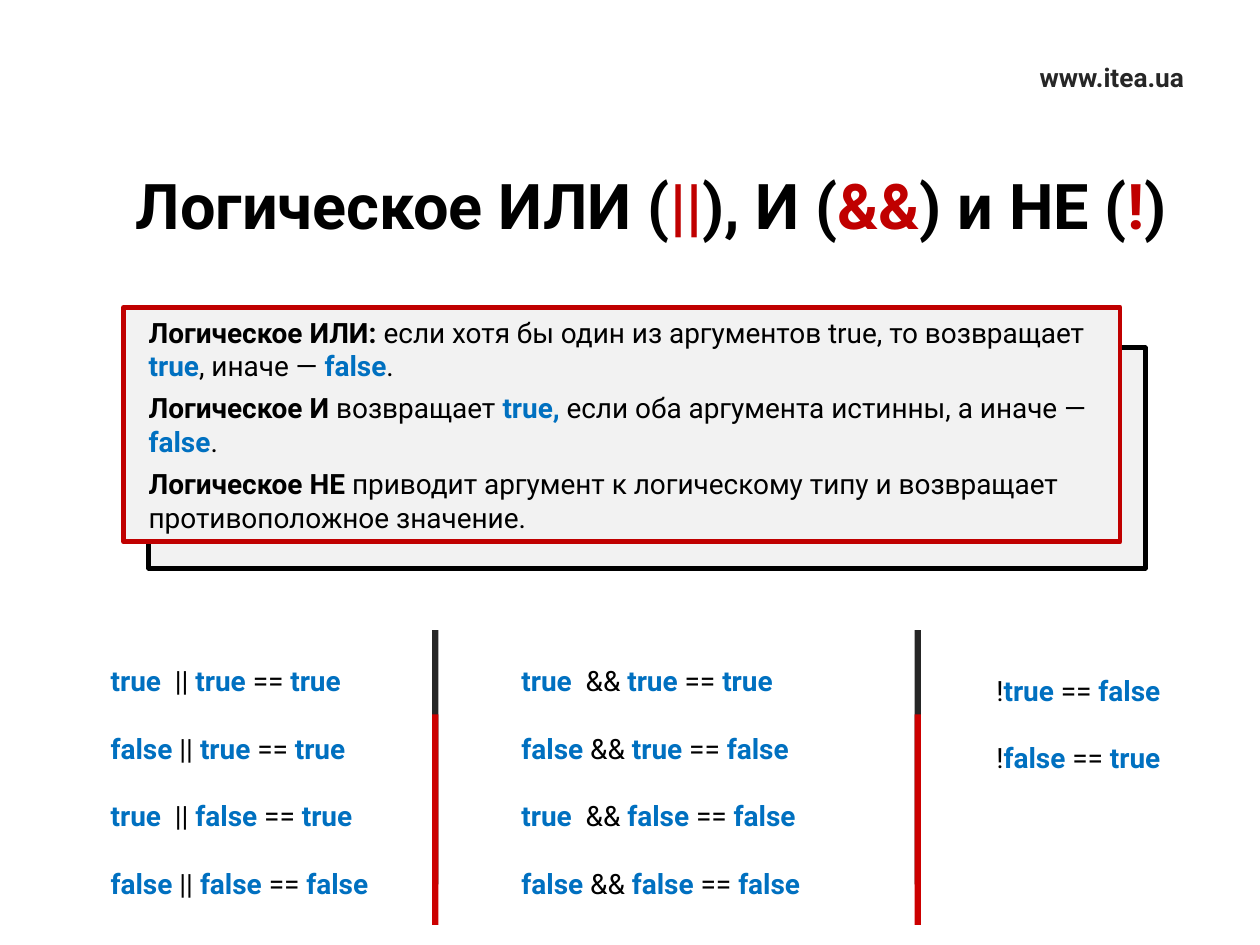
"""Build a slide on the logical operators OR, AND and NOT."""
from pptx import Presentation
from pptx.dml.color import RGBColor
from pptx.enum.shapes import MSO_SHAPE
from pptx.enum.text import MSO_ANCHOR, PP_ALIGN
from pptx.util import Inches, Pt

RECT = MSO_SHAPE.RECTANGLE
MIDDLE = MSO_ANCHOR.MIDDLE
LEFT, CENTER = PP_ALIGN.LEFT, PP_ALIGN.CENTER

BLACK = RGBColor(0x00, 0x00, 0x00)
DARK = RGBColor(0x26, 0x26, 0x26)
PALE = RGBColor(0xF2, 0xF2, 0xF2)
RED = RGBColor(0xC0, 0x00, 0x00)
BAR_RED = RGBColor(0xCC, 0x00, 0x00)
BLUE = RGBColor(0x00, 0x70, 0xC0)

FONT = "Roboto"
BODY_SIZE = 16
ROW_GAP = 19.4


def plain(text):
    """Return a regular black run."""
    return text, BLACK, False


def bold(text, color=BLACK):
    """Return a bold run."""
    return text, color, True


def value(text):
    """Return a run for a boolean value."""
    return bold(text, BLUE)


def binary_row(left, operator, right, result):
    """Return the runs of an expression with two operands."""
    gap = "  " if left == "true" else " "
    return [value(left), plain(f"{gap}{operator} "), value(right),
            plain(" == "), value(result)]


def not_row(operand, result):
    """Return the runs of a negation."""
    return [plain("!"), value(operand), plain(" == "), value(result)]


def fill_text(tf, paragraphs, size=BODY_SIZE, gap=0, align=LEFT):
    """Write paragraphs of runs into a text frame."""
    tf.word_wrap = True
    tf.vertical_anchor = MIDDLE
    for i, runs in enumerate(paragraphs):
        p = tf.add_paragraph() if i else tf.paragraphs[0]
        p.alignment = align
        if i and gap:
            p.space_before = Pt(gap)
        for text, color, is_bold in runs:
            r = p.add_run()
            r.text = text
            r.font.name = FONT
            r.font.size = Pt(size)
            r.font.bold = is_bold
            r.font.color.rgb = color


def add_text(s, x, y, w, h, paragraphs, **style):
    """Add a text box."""
    sp = s.shapes.add_textbox(Inches(x), Inches(y), Inches(w), Inches(h))
    fill_text(sp.text_frame, paragraphs, **style)


def add_rect(s, x, y, w, h, fill, line=None):
    """Add a filled rectangle, outlined if a line colour is given."""
    sp = s.shapes.add_shape(RECT, Inches(x), Inches(y), Inches(w), Inches(h))
    sp.shadow.inherit = False
    sp.fill.solid()
    sp.fill.fore_color.rgb = fill
    if line is None:
        sp.line.fill.background()
    else:
        sp.line.color.rgb = line
        sp.line.width = Pt(2.75)
    return sp


def add_divider(s, x):
    """Add a vertical bar with a dark top and a red lower part."""
    add_rect(s, x, 5, 0.05, 2.02, DARK)
    add_rect(s, x, 5.67, 0.05, 1.67, BAR_RED)


def add_definitions(s):
    """Add the panel of definitions with its offset backing."""
    add_rect(s, 1.18, 2.76, 7.91, 1.75, PALE, BLACK)
    panel = add_rect(s, 0.98, 2.44, 7.91, 1.86, PALE, RED)
    panel.text_frame.margin_left = Inches(0.2)
    fill_text(panel.text_frame, [
        [bold("Логическое ИЛИ: "),
         plain("если хотя бы один из аргументов true, то возвращает "),
         value("true"), plain(", иначе — "), value("false"), plain(".")],
        [bold("Логическое И "), plain("возвращает "), value("true,"),
         plain(" если оба аргумента истинны, а иначе — "),
         value("false"), plain(".")],
        [bold("Логическое НЕ "),
         plain("приводит аргумент к логическому типу и возвращает "
               "противоположное значение.")],
    ], gap=5)


def main():
    """Build and save the slide."""
    prs = Presentation()
    prs.slide_width, prs.slide_height = Inches(10), Inches(7.5)
    s = prs.slides.add_slide(prs.slide_layouts[6])

    add_text(s, 7.81, 0.45, 2.03, 0.32, [[bold("www.itea.ua", DARK)]],
             size=15, align=CENTER)
    add_text(s, 0.98, 1.26, 8.96, 0.72, [[
        bold("Логическое ИЛИ ("), bold("||", RED), bold("), И ("),
        bold("&&", RED), bold(") и НЕ ("), bold("!", RED), bold(")"),
    ]], size=36)
    add_definitions(s)

    operands = [("true", "true"), ("false", "true"),
                ("true", "false"), ("false", "false")]
    or_results = ["true", "true", "true", "false"]
    and_results = ["true", "false", "false", "false"]
    for x, w, operator, results in [(0.78, 2.65, "||", or_results),
                                    (4.04, 2.85, "&&", and_results)]:
        rows = [binary_row(a, operator, b, result)
                for (a, b), result in zip(operands, results)]
        add_text(s, x, 5.21, w, 1.99, rows, gap=ROW_GAP)
    add_text(s, 7.81, 5.29, 1.93, 0.91,
             [not_row("true", "false"), not_row("false", "true")],
             gap=ROW_GAP)

    for x in (3.43, 7.26):
        add_divider(s, x)
    prs.save("out.pptx")


if __name__ == "__main__":
    main()
